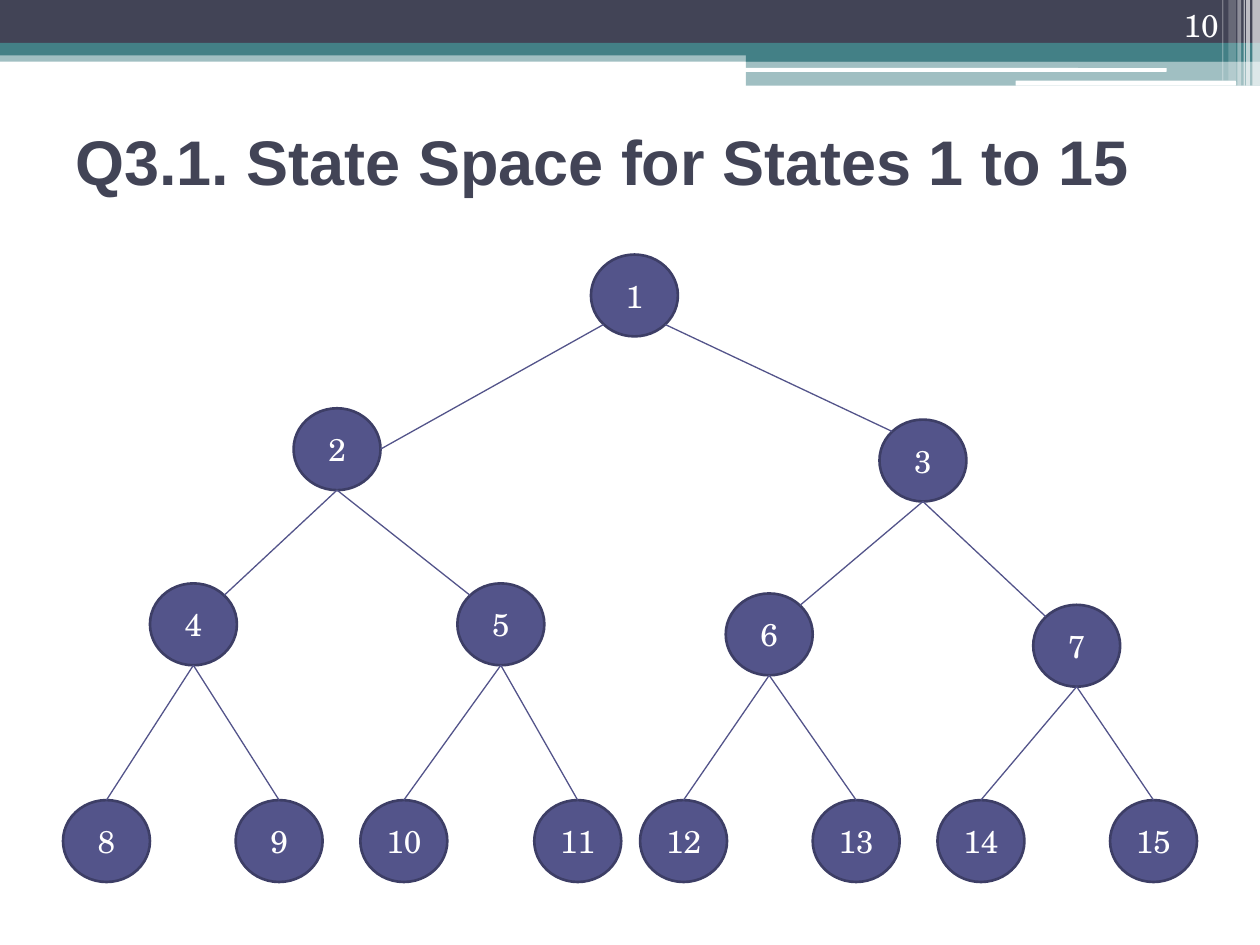
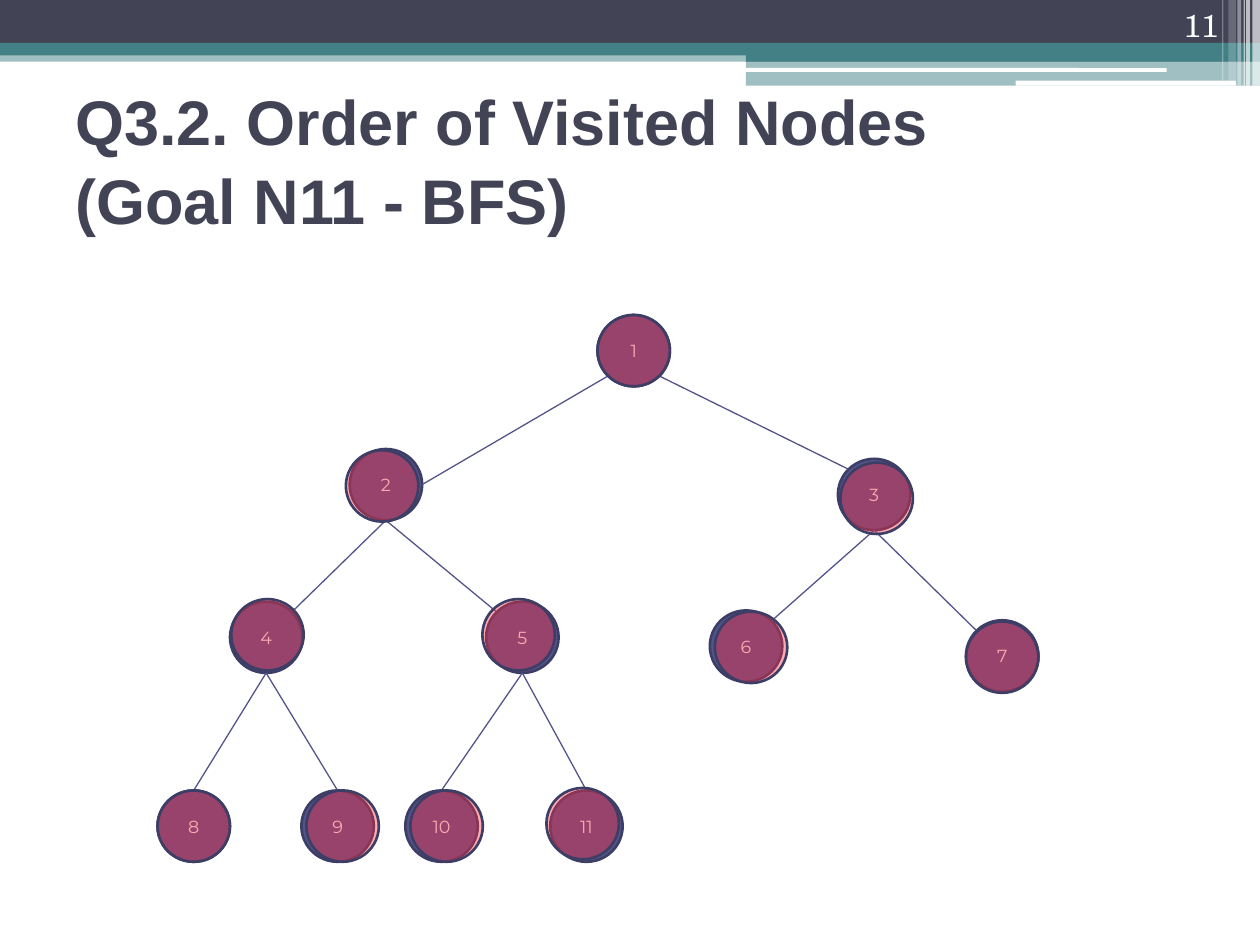
from dataclasses import dataclass

from lxml import etree
from pptx import Presentation
from pptx.dml.color import RGBColor
from pptx.enum.shapes import MSO_CONNECTOR, MSO_SHAPE
from pptx.enum.text import MSO_ANCHOR, PP_ALIGN
from pptx.oxml.ns import qn
from pptx.util import Emu, Pt

LEFT, MID, RIGHT = PP_ALIGN.LEFT, PP_ALIGN.CENTER, PP_ALIGN.RIGHT
CENTER, BASE = MSO_ANCHOR.MIDDLE, MSO_ANCHOR.BOTTOM
RECT, ROUND, OVAL = MSO_SHAPE.RECTANGLE, MSO_SHAPE.ROUNDED_RECTANGLE, MSO_SHAPE.OVAL
STRAIGHT = MSO_CONNECTOR.STRAIGHT
SCALE = 9144


@dataclass(frozen=True)
class Theme:
    dark: str = "424456"
    teal: str = "438086"
    white: str = "FFFFFF"
    node: str = "53548A"
    rim: str = "3D3E66"
    mark: str = "FD2B3F"
    head: str = "Arial"
    body: str = "TeX Gyre Schola"
    small: str = "Montserrat"
    title: int = 36
    text: int = 18
    note: int = 10
    edge: float = 0.75
    ring: float = 1.5


T = Theme()
PAGE = (0, 0, 1000, 750)
TITLE = (50, 67, 900, 117)
NUMBER = (894, 0, 83, 40)

BANDS = (
    (RECT, 0, 40, 1000, 9, T.teal, 50),
    (RECT, 0, 0, 1000, 34, T.dark, 100),
    (RECT, 0, 34, 1000, 10, T.teal, 100),
    (RECT, 592, 39, 408, 10, T.teal, 100),
    (RECT, 592, 48, 408, 20, T.teal, 50),
    (ROUND, 591, 54, 335, 3, T.white, 100),
    (ROUND, 806, 64, 175, 4, T.white, 100),
)
STRIPES = (
    (994, 6, 68, 65),
    (989, 3, 68, 65),
    (987, 1, 68, 60),
    (982, 3, 68, 40),
    (975, 6, 64, 20),
    (970, 1, 64, 30),
)

GRID = (900, 498)
NODE = (69, 65)
SPOTS = {
    1: (419, 0),
    2: (183, 122), 3: (648, 131),
    4: (69, 261), 5: (313, 261), 6: (526, 269), 7: (770, 278),
    8: (0, 433), 9: (137, 433), 10: (236, 433), 11: (374, 433),
    12: (458, 433), 13: (595, 433), 14: (694, 433), 15: (831, 433),
}
SHIFTS = {
    1: (0, 0), 2: (-3, 1), 3: (2, 3), 4: (1, -2), 5: (-3, -2), 6: (4, 1),
    7: (0, 1), 8: (0, 0), 9: (4, 0), 10: (4, 0), 11: (-3, -2),
}
DIAG = 0.71


def px(*sizes):
    return [Emu(round(size * SCALE)) for size in sizes]


def tint(hue):
    return RGBColor.from_string(hue)


def write(frame, text, font=T.body, size=T.text, hue=T.white, bold=False,
          align=LEFT, anchor=CENTER, wrap=True, space=1.0):
    frame.word_wrap = wrap
    frame.vertical_anchor = anchor
    para = frame.paragraphs[0]
    para.alignment = align
    para.line_spacing = space
    for row, line in enumerate(text.split("\n")):
        if row:
            para.add_line_break()
        run = para.add_run()
        run.text = line
        run.font.name = font
        run.font.size = Pt(size)
        run.font.bold = bold
        run.font.color.rgb = tint(hue)


def draw(slide, kind, box, hue, alpha=100, rim=None):
    shape = slide.shapes.add_shape(kind, *px(*box))
    shape.fill.solid()
    shape.fill.fore_color.rgb = tint(hue)
    if alpha < 100:
        paint = shape.element.spPr.find(qn("a:solidFill"))[0]
        etree.SubElement(paint, qn("a:alpha"), val=str(alpha * 1000))
    if rim:
        shape.line.color.rgb = tint(rim)
        shape.line.width = Pt(T.ring)
    else:
        shape.line.fill.background()
    shape.shadow.inherit = False
    return shape


def join(slide, start, end):
    line = slide.shapes.add_connector(STRAIGHT, *px(*start, *end))
    line.line.color.rgb = tint(T.node)
    line.line.width = Pt(T.edge)
    etree.SubElement(line.element.spPr, qn("a:effectLst"))


def label(slide, box, text, **form):
    write(slide.shapes.add_textbox(*px(*box)).text_frame, text, **form)


def header(slide, box):
    left, top = box[:2]
    for kind, x, y, wide, high, hue, alpha in BANDS:
        draw(slide, kind, (left + x, top + y, wide, high), hue, alpha)
    for x, wide, high, alpha in STRIPES:
        draw(slide, RECT, (left + x, top, wide, high), T.white, alpha)


def rim_point(box, way):
    x, y, wide, high = box
    return x + wide * (1 + way[0]) / 2, y + high * (1 + way[1]) / 2


def ways(child):
    side = 1 if child % 2 else -1
    start = (side * DIAG, DIAG) if child < 4 else (0, 1)
    if child == 2:
        return start, (1, 0)
    if child > 7:
        return start, (0, -1)
    return start, (-side * DIAG, -DIAG)


def tree(slide, box, nodes, **form):
    left, top, wide, high = box
    fit_x, fit_y = wide / GRID[0], high / GRID[1]
    cells = {}
    for node in nodes:
        x, y = SPOTS[node]
        cells[node] = (left + x * fit_x, top + y * fit_y,
                       NODE[0] * fit_x, NODE[1] * fit_y)
        frame = draw(slide, OVAL, cells[node], T.node, rim=T.rim).text_frame
        frame.margin_left = frame.margin_right = 0
        write(frame, str(node), align=MID, wrap=False, **form)
    for child in nodes[1:]:
        start, end = ways(child)
        join(slide, rim_point(cells[child // 2], start), rim_point(cells[child], end))
    return cells


def visits(slide, cells):
    for node, (x, y, wide, high) in cells.items():
        dx, dy = SHIFTS[node]
        draw(slide, OVAL, (x + dx, y + dy, wide, high), T.mark, 40, T.rim)


def page(deck, number, title):
    slide = deck.slides.add_slide(deck.slide_layouts[6])
    header(slide, PAGE)
    label(slide, TITLE, title, font=T.head, size=T.title, hue=T.dark,
          bold=True, space=1.05)
    label(slide, NUMBER, str(number), align=RIGHT, anchor=BASE)
    return slide


def main():
    deck = Presentation()
    deck.slide_width, deck.slide_height = px(*PAGE[2:])

    space = page(deck, 10, "Q3.1. State Space for States 1 to 15")
    tree(space, (50, 202, 900, 498), range(1, 16))

    order = page(deck, 11, "Q3.2. Order of Visited Nodes\n(Goal N11 - BFS)")
    cells = tree(order, (125, 250, 750, 434), range(1, 12), font=T.small, size=T.note)
    visits(order, cells)

    deck.save("out.pptx")


if __name__ == "__main__":
    main()
